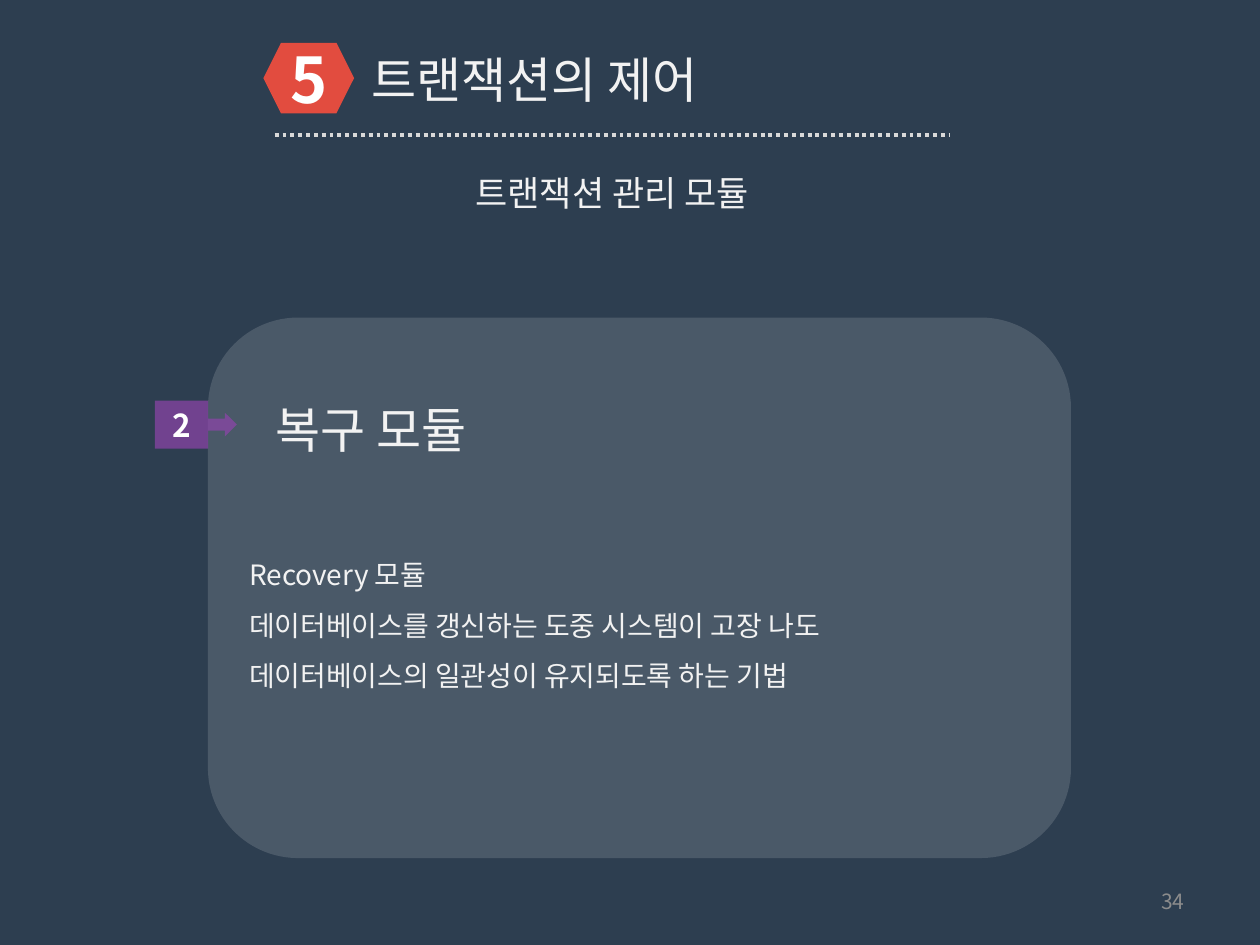
from lxml import etree
from pptx import Presentation
from pptx.dml.color import RGBColor
from pptx.enum import dml, shapes, text
from pptx.oxml.ns import qn
from pptx.util import Inches, Pt

FONT = "Noto Sans CJK KR"
NAVY = RGBColor(0x2D, 0x3E, 0x50)
RED = RGBColor(0xE2, 0x4C, 0x3F)
PURPLE = RGBColor(0x8F, 0x44, 0xAB)
WHITE = RGBColor(0xFF, 0xFF, 0xFF)
PALE = RGBColor(0xF2, 0xF2, 0xF2)
SILVER = RGBColor(0xD9, 0xD9, 0xD9)
GRAY = RGBColor(0x8C, 0x8C, 0x8C)

KIND = shapes.MSO_SHAPE
LEFT, MID, RIGHT = text.PP_ALIGN.LEFT, text.PP_ALIGN.CENTER, text.PP_ALIGN.RIGHT

SHAPES = [
    (KIND.HEXAGON, (2.09, 0.34, 0.72, 0.56), RED, 100, "5", 36),
    (KIND.ROUNDED_RECTANGLE, (1.65, 2.52, 6.85, 4.29), WHITE, 14, "", 18),
    (KIND.RIGHT_ARROW_CALLOUT, (1.23, 3.18, 0.65, 0.38), PURPLE, 70, "2", 18),
]
BODY = [
    "Recovery 모듈",
    "데이터베이스를 갱신하는 도중 시스템이 고장 나도",
    "데이터베이스의 일관성이 유지되도록 하는 기법",
]
TEXTS = [
    ((2.85, 0.34, 5.28, 0.57), ["트랜잭션의 제어"], dict(size=28)),
    ((2.22, 1.31, 5.28, 0.44), ["트랜잭션 관리 모듈"], dict(size=20, align=MID)),
    ((1.88, 4.26, 6.62, 1.27), BODY, dict(size=16, gap=1.5, middle=True)),
    ((2.09, 2.89, 4.81, 0.73), ["복구 모듈"], dict(size=28, gap=1.5)),
    ((7.17, 6.95, 2.33, 0.4), ["34"],
     dict(size=12, color=GRAY, align=RIGHT, middle=True, grow=False)),
]
RULE = (2.18, 1.07, 7.54, 1.07)


def write(shape, lines, size=18, color=PALE, align=LEFT, bold=False,
          gap=None, middle=False, grow=True):
    frame = shape.text_frame
    frame.word_wrap = True
    frame.auto_size = (text.MSO_AUTO_SIZE.SHAPE_TO_FIT_TEXT if grow
                       else text.MSO_AUTO_SIZE.NONE)
    frame.vertical_anchor = (text.MSO_ANCHOR.MIDDLE if middle
                             else text.MSO_ANCHOR.TOP)
    for i, line in enumerate(lines):
        para = frame.paragraphs[0] if i == 0 else frame.add_paragraph()
        para.alignment = align
        para.line_spacing = gap
        run = para.add_run()
        run.text = line
        font = run.font
        font.size, font.bold, font.name = Pt(size), bold, FONT
        font.color.rgb = color
        east = etree.SubElement(run._r.get_or_add_rPr(), qn("a:ea"))
        east.set("typeface", FONT)


def draw(slide, kind, box, color, share, label, size):
    shape = slide.shapes.add_shape(kind, *map(Inches, box))
    shape.shadow.inherit = False
    shape.fill.solid()
    shape.fill.fore_color.rgb = color
    shape.line.fill.background()
    if share < 100:
        tint = shape.fill._xPr.find(".//" + qn("a:srgbClr"))
        etree.SubElement(tint, qn("a:alpha")).set("val", str(share * 1000))
    if label:
        frame = shape.text_frame
        frame.margin_left = frame.margin_right = 0
        frame.margin_top = frame.margin_bottom = 0
        write(shape, [label], size=size, color=WHITE, align=MID,
              bold=True, middle=True, grow=False)


def main():
    deck = Presentation()
    deck.slide_width, deck.slide_height = Inches(10), Inches(7.5)
    slide = deck.slides.add_slide(deck.slide_layouts[6])
    slide.background.fill.solid()
    slide.background.fill.fore_color.rgb = NAVY

    for item in SHAPES:
        draw(slide, *item)

    rule = slide.shapes.add_connector(
        shapes.MSO_CONNECTOR.STRAIGHT, *map(Inches, RULE))
    rule.line.color.rgb = SILVER
    rule.line.width = Pt(2.25)
    rule.line.dash_style = dml.MSO_LINE.ROUND_DOT
    etree.SubElement(rule._element.spPr, qn("a:effectLst"))

    for box, lines, style in TEXTS:
        write(slide.shapes.add_textbox(*map(Inches, box)), lines, **style)

    deck.save("out.pptx")


if __name__ == "__main__":
    main()
